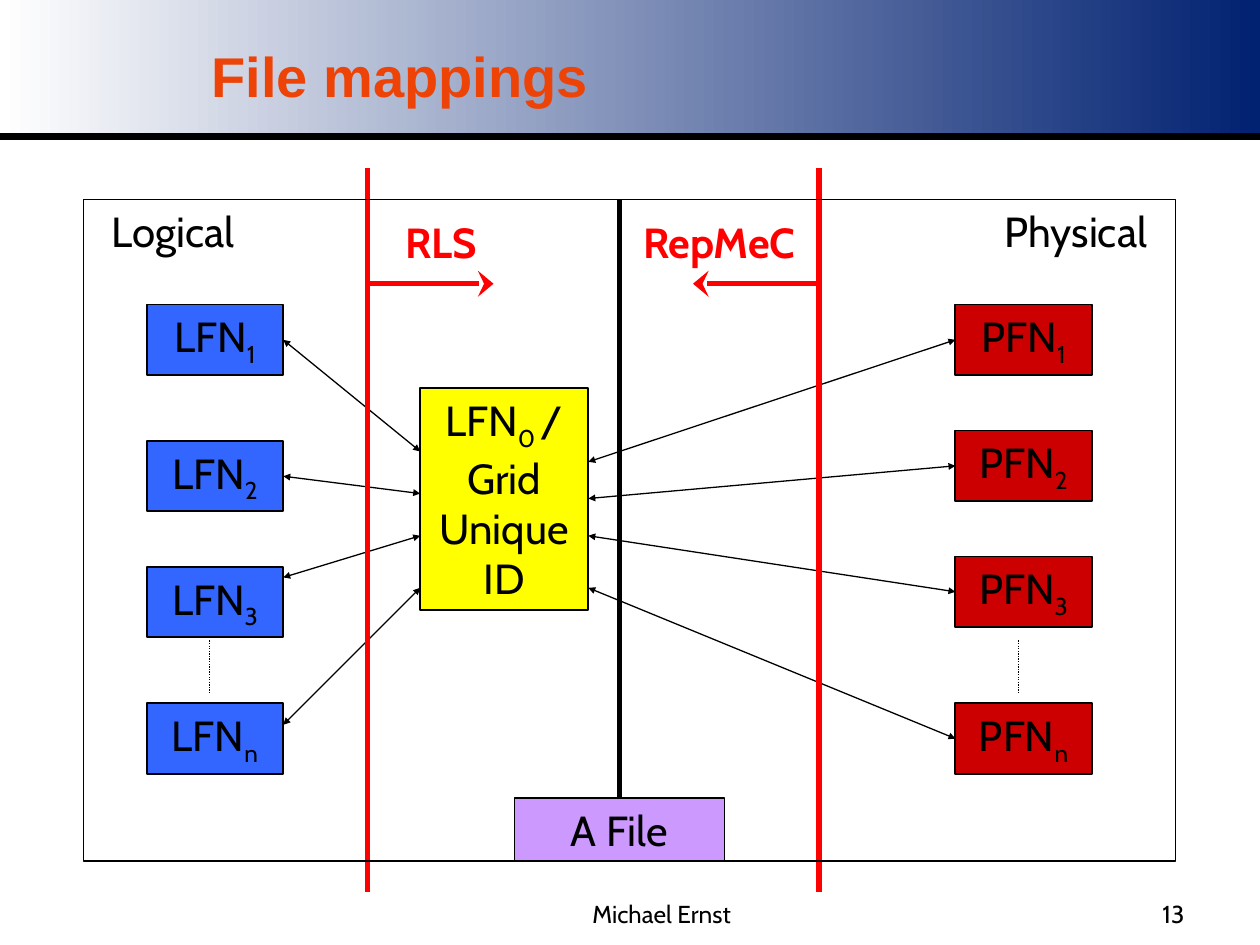
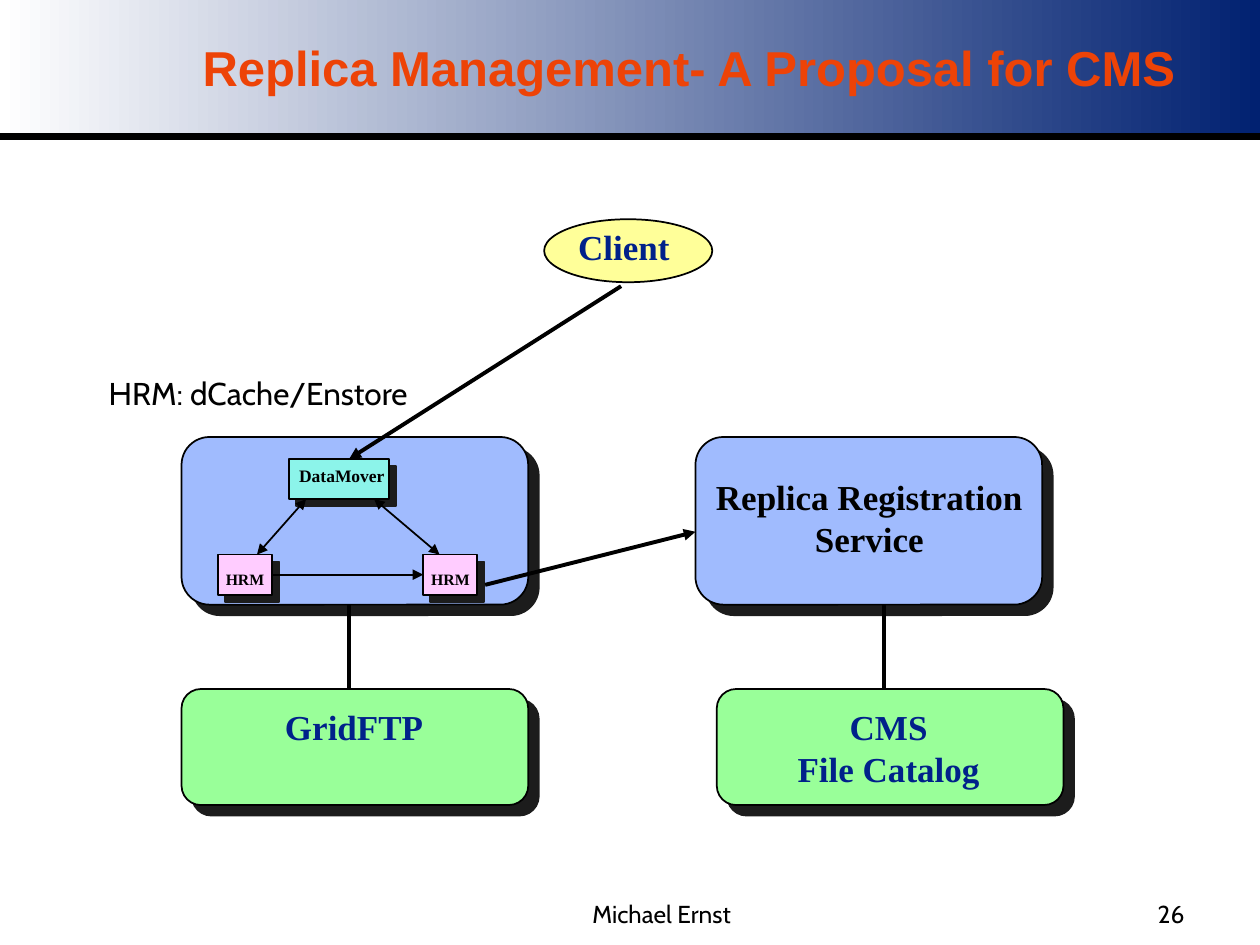
from lxml.etree import SubElement
from pptx import Presentation
from pptx.dml.color import RGBColor
from pptx.enum.dml import MSO_LINE
from pptx.enum.shapes import MSO_CONNECTOR, MSO_SHAPE
from pptx.enum.text import MSO_ANCHOR, MSO_AUTO_SIZE, PP_ALIGN
from pptx.oxml.ns import qn
from pptx.util import Cm, Pt

COLORS = {
    "black": "000000", "white": "FFFFFF", "band": "012171", "title": "ED4307",
    "logical": "3366FF", "physical": "CC0000", "grid_id": "FFFF00", "file": "CC99FF",
    "red": "FF0000", "service": "A0BBFE", "storage": "99FF99", "client": "FFFF99",
    "mover": "8CF4EA", "hrm": "FFCCFF", "navy": "00218A", "shadow": "1C1C1C",
}
COLORS = {name: RGBColor.from_string(value) for name, value in COLORS.items()}


def add_box(slide, place, paragraphs, fill=None, line=None, kind=MSO_SHAPE.RECTANGLE,
            font="Cabin", size=24, color="black", bold=False, align=PP_ALIGN.CENTER,
            anchor=MSO_ANCHOR.TOP, wrap=True, shadow=0):
    lengths = [Cm(value) for value in place]
    if fill or line:
        box = slide.shapes.add_shape(kind, *lengths)
        box.shadow.inherit = False
        if fill:
            box.fill.solid()
            box.fill.fore_color.rgb = COLORS[fill]
        else:
            box.fill.background()
        box.line.color.rgb = COLORS["black"]
        box.line.width = Pt(line)
    else:
        box = slide.shapes.add_textbox(*lengths)
    if shadow:
        effects = box._element.spPr.find(qn("a:effectLst"))
        outer = SubElement(effects, qn("a:outerShdw"), dist=str(Pt(shadow)), dir="2700000",
                           algn="ctr", rotWithShape="0")
        SubElement(outer, qn("a:srgbClr"), val=str(COLORS["shadow"]))
    frame = box.text_frame
    frame.word_wrap = wrap
    frame.auto_size = MSO_AUTO_SIZE.NONE
    frame.vertical_anchor = anchor
    frame.margin_left = frame.margin_right = Cm(0.25)
    frame.margin_top = frame.margin_bottom = Cm(0.13)
    for index, runs in enumerate(paragraphs):
        paragraph = frame.add_paragraph() if index else frame.paragraphs[0]
        paragraph.alignment = align
        for text, baseline in runs:
            run = paragraph.add_run()
            run.text = text
            run.font.name = font
            run.font.size = Pt(size)
            run.font.bold = bold
            run.font.color.rgb = COLORS[color]
            if baseline:
                run.font._element.set("baseline", str(baseline * 1000))
    return box


def add_line(slide, start, end, width=0.75, color="black", head=None, tail=None,
             arrow_width="med", arrow_length="med"):
    connector = slide.shapes.add_connector(
        MSO_CONNECTOR.STRAIGHT, *[Cm(value) for value in (*start, *end)])
    connector.line.width = Pt(width)
    connector.line.color.rgb = COLORS[color]
    outline = connector.line._get_or_add_ln()
    for tag, arrow in (("a:headEnd", head), ("a:tailEnd", tail)):
        if arrow:
            SubElement(outline, qn(tag), type=arrow, w=arrow_width, len=arrow_length)
    SubElement(connector._element.spPr, qn("a:effectLst"))
    return connector


deck = Presentation()
deck.slide_width, deck.slide_height = Cm(25.4), Cm(19.05)
layout = deck.slide_layouts[5]

pages = [
    ("File mappings", 32, (4.01, 0, 18.75, 2.32), "13"),
    ("Replica Management- A Proposal for CMS", 28, (3.83, 0, 21.56, 2.06), "26"),
]
for heading, size, place, number in pages:
    slide = deck.slides.add_slide(layout)
    title = slide.shapes.title
    title.left, title.top, title.width, title.height = [Cm(value) for value in place]
    title.text_frame.auto_size = MSO_AUTO_SIZE.NONE
    title.text_frame.vertical_anchor = MSO_ANCHOR.BOTTOM
    paragraph = title.text_frame.paragraphs[0]
    paragraph.alignment = PP_ALIGN.LEFT
    run = paragraph.add_run()
    run.text = heading
    run.font.name = "Arial"
    run.font.size = Pt(size)
    run.font.bold = True
    run.font.color.rgb = COLORS["title"]
    for text, footer_place, align in (
            ("Michael Ernst", (9.32, 17.57, 8.04, 1.27), PP_ALIGN.CENTER),
            (number, (18.84, 17.57, 5.29, 1.27), PP_ALIGN.RIGHT)):
        add_box(slide, footer_place, [[(text, 0)]], size=14, align=align,
                anchor=MSO_ANCHOR.BOTTOM)

mappings, proposal = deck.slides

band = mappings.shapes.add_shape(MSO_SHAPE.RECTANGLE, 0, 0, Cm(25.4), Cm(2.75))
band.shadow.inherit = False
band.line.fill.background()
band.fill.gradient()
band.fill.gradient_angle = 0
for stop, name, position in zip(band.fill.gradient_stops, ("white", "band"), (0, 1)):
    stop.color.rgb = COLORS[name]
    stop.position = position
rule = add_line(mappings, (0, 2.75), (25.4, 2.75), 4)
for index, shared in enumerate((band, rule)):
    shared._element._nvXxPr.cNvPr.set("id", str(20 + index))
    layout.shapes._spTree.insert(2 + index, shared._element)

for text, place in (("Logical", (1.69, 4.02, 3.6, 1.27)),
                    ("Physical", (19.68, 4.02, 4.02, 1.27))):
    add_box(mappings, place, [[(text, 0)]])

name_boxes = {}
for prefix, left, fill, tops, gap_x in (
        ("PFN", 19.26, "physical", (6.14, 8.68, 11.22, 14.18), 20.53),
        ("LFN", 2.96, "logical", (6.14, 8.89, 11.43, 14.18), 4.23)):
    name_boxes[prefix] = [
        add_box(mappings, (left, top, 2.75, 1.42), [[(prefix, 0), (suffix, -25)]], fill, 1)
        for top, suffix in zip(tops, "123n")]
    gap = add_line(mappings, (gap_x, 12.91), (gap_x, 13.97))
    gap.line.dash_style = MSO_LINE.ROUND_DOT

add_box(mappings, (8.47, 7.83, 3.39, 4.47),
        [[("LFN", 0), ("0 ", -25), ("/ Grid Unique ID", 0)]], "grid_id", 1)

small_arrows = {"head": "triangle", "tail": "triangle",
                "arrow_width": "sm", "arrow_length": "sm"}
for index, (name_y, id_y) in enumerate(
        ((6.77, 9.1), (9.53, 9.95), (11.64, 10.8), (14.61, 11.85))):
    link = add_line(mappings, (5.71, name_y), (8.47, id_y), **small_arrows)
    if index < 2:
        link.begin_connect(name_boxes["LFN"][index], 3)
for physical_box, id_y in zip(name_boxes["PFN"], (9.31, 10.05, 10.8, 11.85)):
    link = add_line(mappings, (11.86, id_y), (19.26, id_y), **small_arrows)
    link.end_connect(physical_box, 1)

for text, text_x, text_width, border_x, tip_x in (
        ("RLS", 7.41, 2.96, 7.41, 9.95), ("RepMeC", 12.49, 4.02, 16.51, 13.97)):
    add_line(mappings, (border_x, 3.39), (border_x, 17.99), 3, "red")
    add_line(mappings, (border_x, 5.72), (tip_x, 5.72), 3, "red", tail="stealth",
             arrow_width="lg")
    add_box(mappings, (text_x, 4.23, text_width, 1.27), [[(text, 0)]], color="red", bold=True)

add_line(mappings, (12.49, 4.02), (12.49, 17.36), 3)
add_box(mappings, (1.69, 4.02, 22.01, 13.34), [], line=0.75)
add_box(mappings, (10.37, 16.09, 4.23, 1.27), [[("A File", 0)]], "file", 0.75)

rounded = MSO_SHAPE.ROUNDED_RECTANGLE
parts = {}
for key, place, fill, kind, shadow in (
        ("panel", (3.66, 8.81, 6.99, 3.38), "service", rounded, 8.5),
        ("registry", (14.02, 8.81, 6.99, 3.38), "service", rounded, 8.5),
        ("client", (10.97, 4.42, 3.39, 1.27), "client", MSO_SHAPE.OVAL, 0),
        ("gridftp", (3.66, 13.89, 6.99, 2.34), "storage", rounded, 8.5),
        ("catalog", (14.45, 13.89, 6.99, 2.34), "storage", rounded, 8.5),
        ("mover", (5.82, 9.25, 2.03, 0.81), "mover", MSO_SHAPE.RECTANGLE, 5.7),
        ("target", (8.53, 11.18, 1.09, 0.81), "hrm", MSO_SHAPE.RECTANGLE, 5.7),
        ("source", (4.39, 11.18, 1.09, 0.81), "hrm", MSO_SHAPE.RECTANGLE, 5.7)):
    parts[key] = add_box(proposal, place, [], fill, 1, kind, shadow=shadow)

for lines, place, size, color in (
        (["Replica Registration", "Service"], (14.17, 9.45, 6.71, 1.96), 20, "black"),
        (["Client"], (11.4, 4.42, 2.36, 1.09), 20, "navy"),
        (["GridFTP"], (5.49, 14.1, 3.3, 1.09), 20, "navy"),
        (["CMS", "File Catalog"], (15.82, 14.1, 4.19, 1.96), 20, "navy"),
        (["DataMover"], (5.77, 9.25, 2.24, 0.69), 10, "black"),
        (["HRM"], (4.29, 11.35, 1.3, 0.64), 9, "black"),
        (["HRM"], (8.43, 11.35, 1.3, 0.64), 9, "black")):
    add_box(proposal, place, [[(text, 0)] for text in lines], font="Times New Roman",
            size=size, color=color, bold=True, wrap=False)

for link_x in (7.04, 17.83):
    add_line(proposal, (link_x, 12.19), (link_x, 13.89), 2.25)

copy_link = add_line(proposal, (5.48, 11.58), (8.53, 11.58), 1, tail="triangle")
copy_link.begin_connect(parts["source"], 3)
copy_link.end_connect(parts["target"], 1)

for start, end, width, head in (
        ((6.17, 10.06), (5.18, 11.18), 1, "triangle"),
        ((7.54, 10.06), (8.86, 11.18), 1, "triangle"),
        ((12.52, 5.77), (7.04, 9.25), 2.25, None),
        ((9.78, 11.79), (14.02, 10.72), 2.25, None)):
    add_line(proposal, start, end, width, head=head, tail="triangle")

add_box(proposal, (1.7, 7.42, 7.01, 1.02), [[("HRM: dCache/Enstore", 0)]], size=18, wrap=False)

deck.save("out.pptx")
